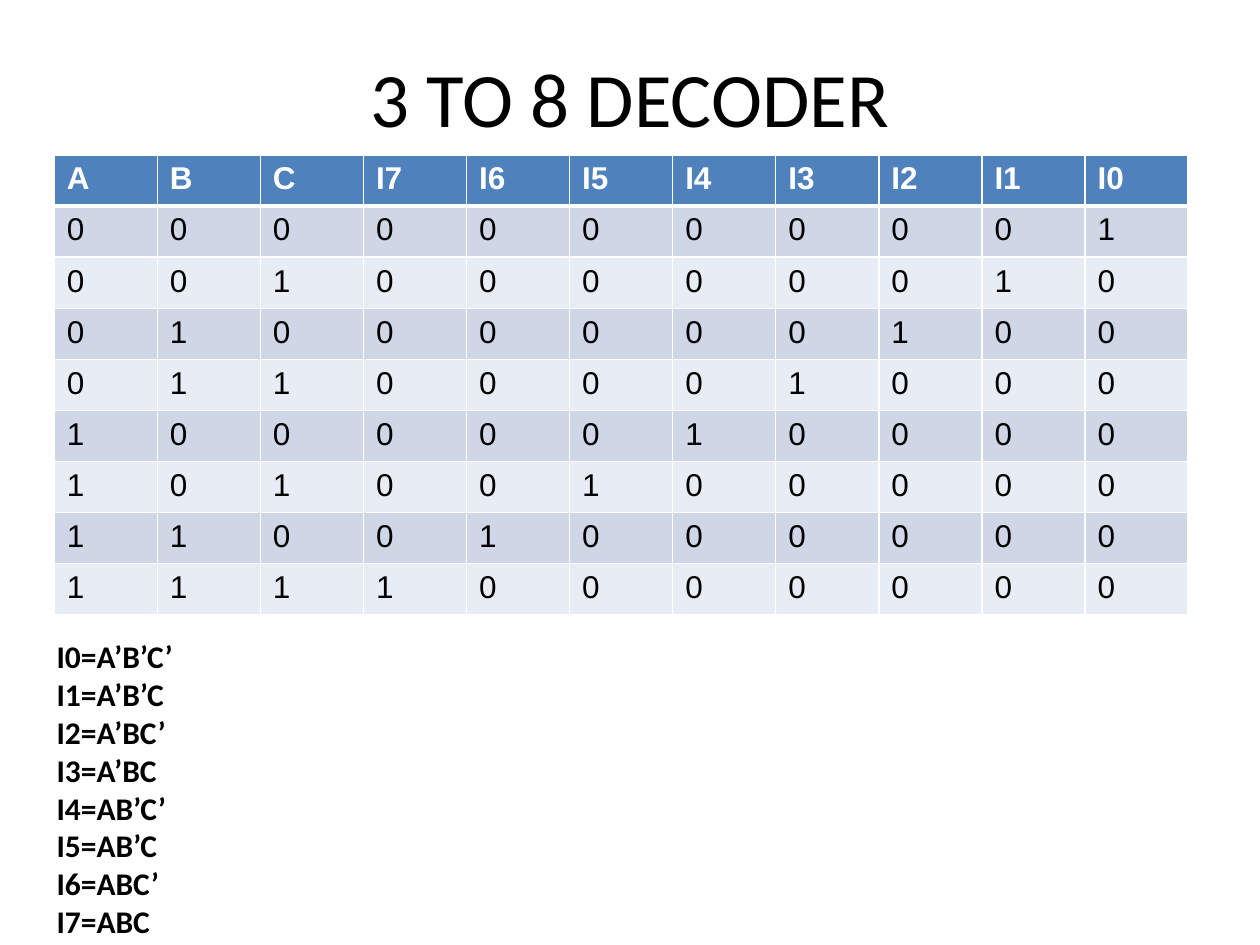
import itertools

import lxml.etree
import pptx
import pptx.dml.color
import pptx.enum.text
import pptx.oxml.ns
import pptx.util

COLORS = {
    "text": "000000",
    "header_text": "FFFFFF",
    "header": "4F81BD",
    "odd_row": "CFD7E7",
    "even_row": "E8ECF4",
    "border": "FFFFFF",
}
SLIDE_WIDTH, SLIDE_HEIGHT = pptx.util.Inches(10), pptx.util.Inches(7.5)
INPUTS = "ABC"
OUTPUT_COUNT = 2 ** len(INPUTS)

TITLE_FORMAT = {"name": "Calibri", "size": pptx.util.Pt(44), "bold": False}
EQUATION_FORMAT = {"name": "Calibri", "size": pptx.util.Pt(18), "bold": True}
HEADER_FORMAT = {"name": "Arial", "size": pptx.util.Pt(18), "bold": True}
BODY_FORMAT = {**HEADER_FORMAT, "bold": False}


def place(left, top, width, height):
    """Turn shares of the slide's size into lengths."""
    return (int(left * SLIDE_WIDTH), int(top * SLIDE_HEIGHT),
            int(width * SLIDE_WIDTH), int(height * SLIDE_HEIGHT))


def write_paragraph(paragraph, text, font_format, color):
    run = paragraph.add_run()
    run.text = text
    for attribute, value in font_format.items():
        setattr(run.font, attribute, value)
    run.font.color.rgb = pptx.dml.color.RGBColor.from_string(COLORS[color])


def add_text(slide, box, lines, font_format, frame_format, alignment):
    frame = slide.shapes.add_textbox(*place(*box)).text_frame
    for attribute, value in frame_format.items():
        setattr(frame, attribute, value)
    for index, line in enumerate(lines):
        paragraph = frame.add_paragraph() if index else frame.paragraphs[0]
        paragraph.alignment = alignment
        write_paragraph(paragraph, line, font_format, "text")


def set_borders(cell, widths):
    """Draw the cell's borders; the lines must precede the fill."""
    properties = cell._tc.get_or_add_tcPr()
    for index, (side, width) in enumerate(widths.items()):
        line = lxml.etree.Element(pptx.oxml.ns.qn(f"a:ln{side}"), w=str(pptx.util.Pt(width)))
        fill = lxml.etree.SubElement(line, pptx.oxml.ns.qn("a:solidFill"))
        lxml.etree.SubElement(fill, pptx.oxml.ns.qn("a:srgbClr"), val=COLORS["border"])
        properties.insert(index, line)


def add_truth_table(slide, box, rows):
    left, top, width, height = place(*box)
    table = slide.shapes.add_table(len(rows), len(rows[0]), left, top, width, height).table
    for column in table.columns:
        column.width = width // len(rows[0])
    for row_index, values in enumerate(rows):
        table.rows[row_index].height = height // len(rows)
        is_header = row_index == 0
        fill = "header" if is_header else "odd_row" if row_index % 2 else "even_row"
        # A thicker line parts the header from the body
        borders = {"L": 1, "R": 1, "T": 3 if row_index == 1 else 1, "B": 3 if is_header else 1}
        for column_index, value in enumerate(values):
            cell = table.cell(row_index, column_index)
            cell.fill.solid()
            cell.fill.fore_color.rgb = pptx.dml.color.RGBColor.from_string(COLORS[fill])
            set_borders(cell, borders)
            write_paragraph(cell.text_frame.paragraphs[0], value,
                            HEADER_FORMAT if is_header else BODY_FORMAT,
                            "header_text" if is_header else "text")


def decoder_rows(input_codes):
    """Each input code sets the one output of the same number."""
    outputs = range(OUTPUT_COUNT - 1, -1, -1)
    header = [*INPUTS, *(f"I{output}" for output in outputs)]
    return [header] + [
        [*code, *(str(int(output == number)) for output in outputs)]
        for number, code in enumerate(input_codes)
    ]


def decoder_equations(input_codes):
    return [
        f"I{number}=" + "".join(
            name if bit == "1" else name + "’" for name, bit in zip(INPUTS, code))
        for number, code in enumerate(input_codes)
    ]


def main():
    presentation = pptx.Presentation()
    presentation.slide_width, presentation.slide_height = SLIDE_WIDTH, SLIDE_HEIGHT
    slide = presentation.slides.add_slide(presentation.slide_layouts[6])
    input_codes = list(itertools.product("01", repeat=len(INPUTS)))

    # Title
    add_text(slide, (0.05, 0.04, 0.9, 0.124), ["3 TO 8 DECODER"], TITLE_FORMAT,
             {"word_wrap": True, "vertical_anchor": pptx.enum.text.MSO_ANCHOR.MIDDLE},
             pptx.enum.text.PP_ALIGN.CENTER)

    # Truth table
    add_truth_table(slide, (0.043, 0.164, 0.9, 0.487), decoder_rows(input_codes))

    # Output equations
    add_text(slide, (0.035, 0.668, 0.898, 0.336), decoder_equations(input_codes),
             EQUATION_FORMAT,
             {"word_wrap": True, "auto_size": pptx.enum.text.MSO_AUTO_SIZE.SHAPE_TO_FIT_TEXT},
             pptx.enum.text.PP_ALIGN.LEFT)

    presentation.save("out.pptx")


if __name__ == "__main__":
    main()
